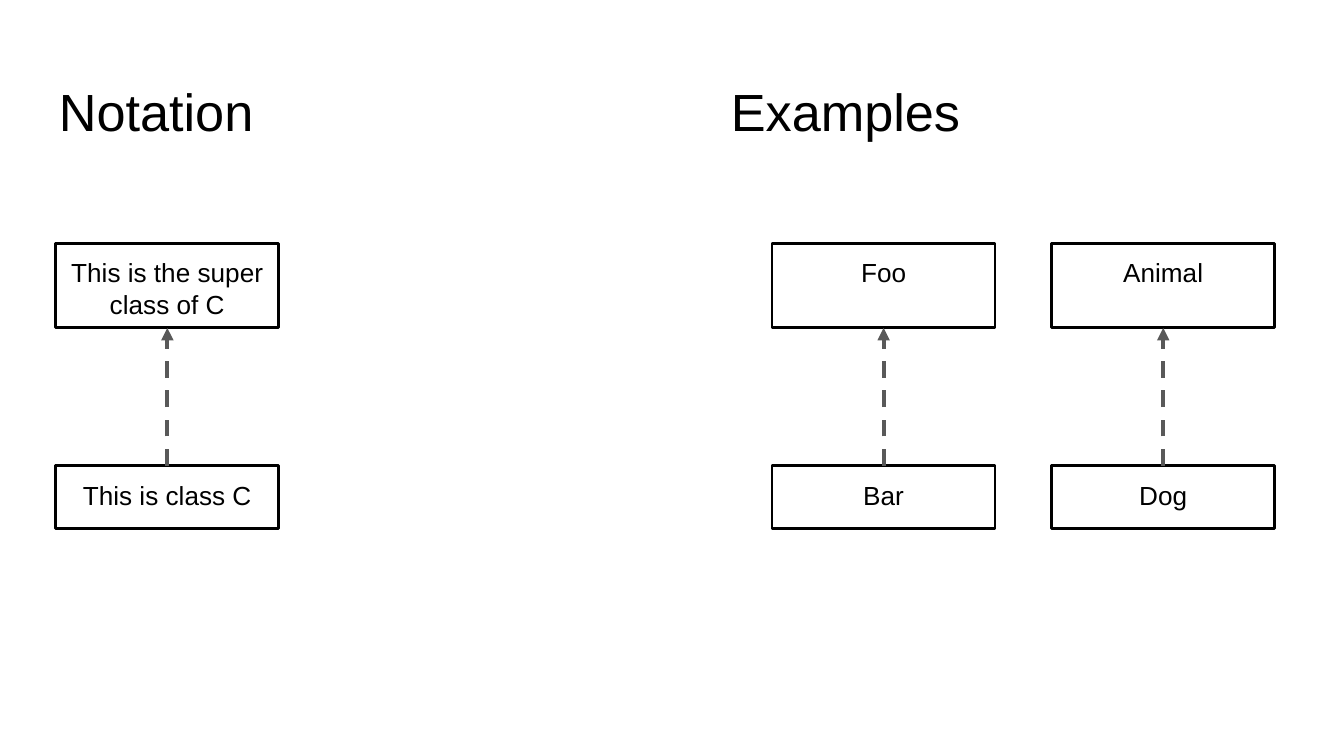
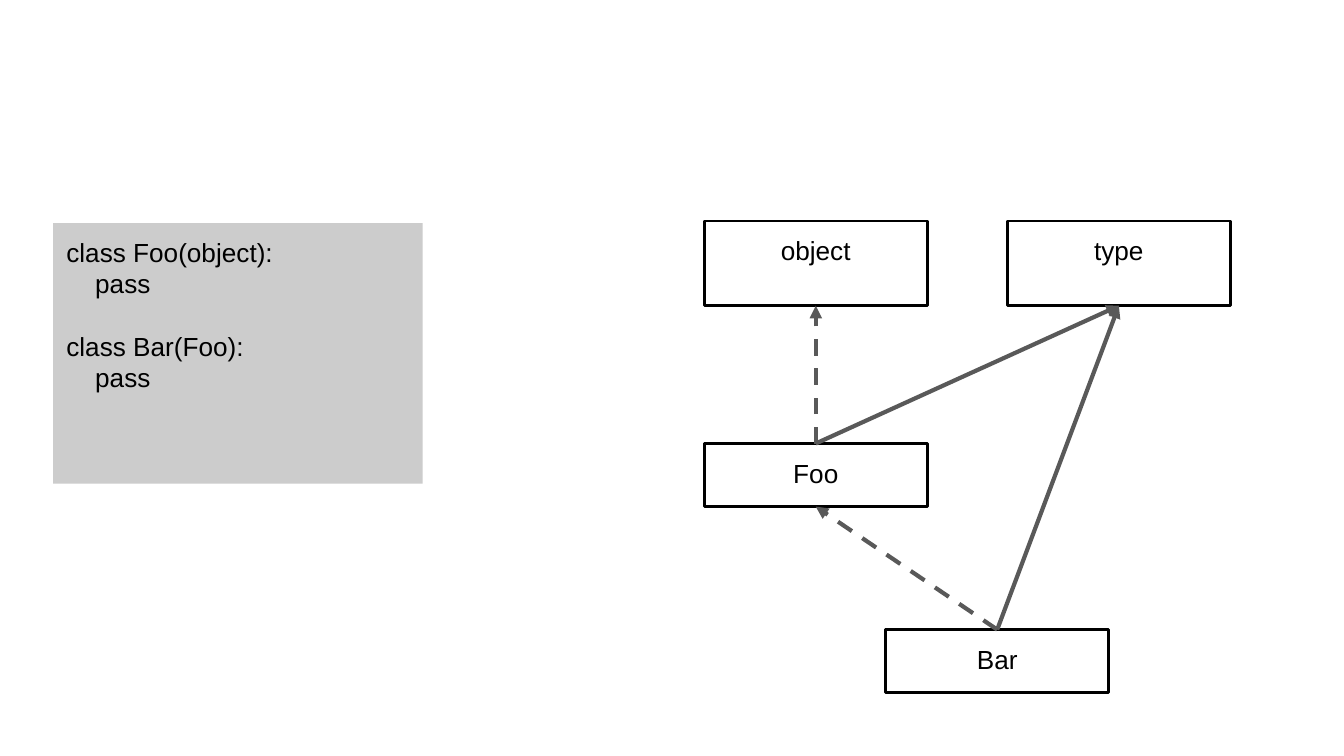
from dataclasses import dataclass

from lxml.etree import SubElement
from pptx import Presentation
from pptx.dml.color import RGBColor as RGB
from pptx.enum.dml import MSO_LINE_DASH_STYLE as Dash
from pptx.enum.shapes import MSO_CONNECTOR as Connector, MSO_SHAPE as Shape
from pptx.enum.text import MSO_ANCHOR as Anchor, PP_ALIGN as Align
from pptx.oxml.ns import qn
from pptx.util import Emu, Pt

PX_PER_INCH = 200
SLIDE_WIDTH, SLIDE_HEIGHT = 2000, 1125
INSET = 20
CLASS_WIDTH, CLASS_HEIGHT, SUPER_HEIGHT = 332, 94, 126
SUBCLASS_DROP = 331
CODE_INDENT = 43
TOP_SITE, BOTTOM_SITE = 0, 2


@dataclass(frozen=True)
class Theme:
    font: str = "Arial"
    ink: RGB = RGB(0x00, 0x00, 0x00)
    arrow: RGB = RGB(0x59, 0x59, 0x59)
    code_fill: RGB = RGB(0xCC, 0xCC, 0xCC)
    heading_size: Pt = Pt(28)
    body_size: Pt = Pt(14)
    code_gap: Pt = Pt(16.5)
    outline: Pt = Pt(1.5)
    arrow_width: Pt = Pt(2.25)


THEME = Theme()


def px(length):
    return Emu(length * 914400 // PX_PER_INCH)


def place(*lengths):
    return [px(length) for length in lengths]


def prepare_frame(frame):
    frame.word_wrap = True
    frame.vertical_anchor = Anchor.TOP
    frame.margin_left = frame.margin_right = px(INSET)
    frame.margin_top = frame.margin_bottom = px(INSET)


def write(paragraph, text, size, align=Align.LEFT):
    paragraph.text = text
    paragraph.alignment = align
    paragraph.font.name = THEME.font
    paragraph.font.size = size
    paragraph.font.color.rgb = THEME.ink


def add_heading(slide, text, left):
    heading = slide.shapes.add_textbox(*place(left, 98, 932, 126))
    prepare_frame(heading.text_frame)
    write(heading.text_frame.paragraphs[0], text, THEME.heading_size)


def add_panel(slide, left, top, width, height):
    panel = slide.shapes.add_shape(Shape.RECTANGLE, *place(left, top, width, height))
    panel.shadow.inherit = False
    prepare_frame(panel.text_frame)
    return panel


def add_class(slide, name, left, top, height=CLASS_HEIGHT):
    box = add_panel(slide, left, top, CLASS_WIDTH, height)
    box.fill.background()
    box.line.color.rgb = THEME.ink
    box.line.width = THEME.outline
    SubElement(box.line._get_or_add_ln(), qn("a:round"))
    write(box.text_frame.paragraphs[0], name, THEME.body_size, Align.CENTER)
    return box


def add_arrow(slide, lower, upper, dashed=False):
    arrow = slide.shapes.add_connector(Connector.STRAIGHT, 0, 0, 0, 0)
    arrow.begin_connect(lower, TOP_SITE)
    arrow.end_connect(upper, BOTTOM_SITE)
    arrow.line.color.rgb = THEME.arrow
    arrow.line.width = THEME.arrow_width
    if dashed:
        arrow.line.dash_style = Dash.DASH
    line = arrow.line._get_or_add_ln()
    SubElement(line, qn("a:round"))
    SubElement(line, qn("a:tailEnd"), type="triangle")
    SubElement(arrow._element.spPr, qn("a:effectLst"))


def add_inheritance(slide, superclass, subclass, left, top):
    lower = add_class(slide, subclass, left, top + SUBCLASS_DROP)
    upper = add_class(slide, superclass, left, top, SUPER_HEIGHT)
    add_arrow(slide, lower, upper, dashed=True)
    return lower


def add_code(slide, definitions, left, top, width, height):
    panel = add_panel(slide, left, top, width, height)
    panel.fill.solid()
    panel.fill.fore_color.rgb = THEME.code_fill
    panel.line.fill.background()
    frame = panel.text_frame
    for index, (signature, body) in enumerate(definitions):
        header = frame.add_paragraph() if index else frame.paragraphs[0]
        write(header, signature, THEME.body_size)
        if index:
            header.space_before = THEME.code_gap
        block = frame.add_paragraph()
        write(block, body, THEME.body_size)
        block._p.get_or_add_pPr().set("marL", str(px(CODE_INDENT)))


def build_notation(slide):
    pairs = [
        ("This is the super class of C", "This is class C", 83),
        ("Foo", "Bar", 1149),
        ("Animal", "Dog", 1565),
    ]
    for text, left in (("Notation", 68), ("Examples", 1068)):
        add_heading(slide, text, left)
    for superclass, subclass, left in pairs:
        add_inheritance(slide, superclass, subclass, left, 362)


def build_class_example(slide):
    definitions = [("class Foo(object):", "pass"), ("class Bar(Foo):", "pass")]
    add_code(slide, definitions, 79, 332, 550, 388)
    foo = add_inheritance(slide, "object", "Foo", 1048, 329)
    metaclass = add_class(slide, "type", 1499, 329, SUPER_HEIGHT)
    bar = add_class(slide, "Bar", 1318, 937)
    add_arrow(slide, bar, foo, dashed=True)
    for instance in (foo, bar):
        add_arrow(slide, instance, metaclass)


def main():
    deck = Presentation()
    deck.slide_width, deck.slide_height = place(SLIDE_WIDTH, SLIDE_HEIGHT)
    blank = deck.slide_layouts[6]
    for build in (build_notation, build_class_example):
        build(deck.slides.add_slide(blank))
    deck.save("out.pptx")


if __name__ == "__main__":
    main()
